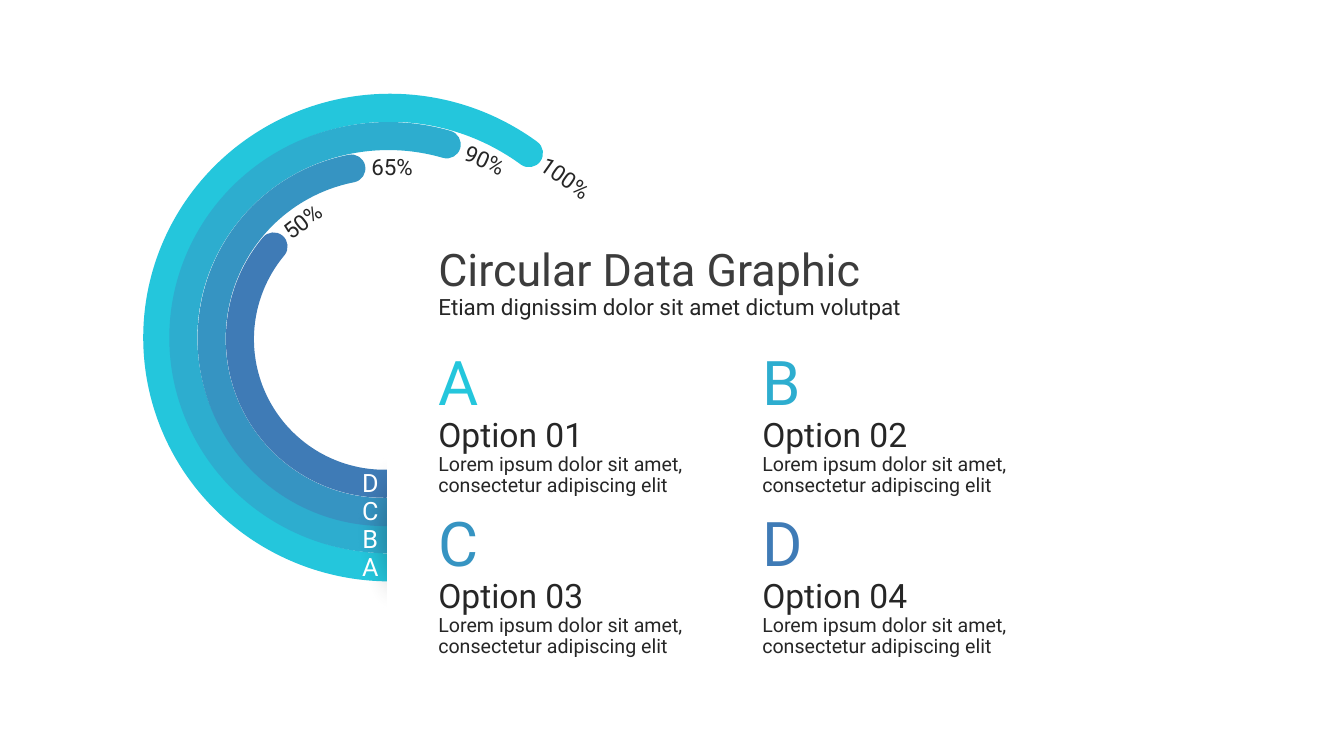
from lxml.etree import SubElement
from pptx import Presentation
from pptx.dml.color import RGBColor
from pptx.enum.shapes import MSO_SHAPE
from pptx.enum.text import MSO_AUTO_SIZE, PP_ALIGN
from pptx.oxml.ns import qn
from pptx.util import Pt

FONT = "Roboto"
COLORS = {
    "A": "24C6DC", "B": "2DADCF", "C": "3694C2", "D": "3F7BB6",
    "title": "3C3C3C", "text": "262626", "white": "FFFFFF", "shadow": "080808",
}
START_ANGLE = 60  # the white panel hides the arcs' lower ends

# letter, arc box, end angle, percentage, label position, label rotation
RINGS = [
    ("A", (112.3, 77, 332.6, 328.3), 307, "100%", (371.5, 113.8), 35),
    ("B", (131, 97.2, 293, 288), 286.8, "90%", (313.9, 100.8), 24.5),
    ("C", (151.2, 118.1, 247, 247.7), 259, "65%", (247.7, 105.8), 0),
    ("D", (171.4, 139, 206.6, 206.6), 219.9, "50%", (183.6, 144.7), 322.1),
]


def rgb(name):
    return RGBColor.from_string(COLORS[name])


def add_arc(slide, box, end_angle, color):
    s = slide.shapes.add_shape(MSO_SHAPE.ARC, *map(Pt, box))
    s.shadow.inherit = False
    s.fill.background()
    # One adjustment unit is 100000/60000 degrees
    s.adjustments[0] = START_ANGLE * 0.6
    s.adjustments[1] = end_angle * 0.6
    s.line.color.rgb = rgb(color)
    s.line.width = Pt(20)
    s.line._get_or_add_ln().set("cap", "rnd")


def add_plain_shape(slide, kind, box, color):
    s = slide.shapes.add_shape(kind, *map(Pt, box))
    s.shadow.inherit = False
    s.fill.solid()
    s.fill.fore_color.rgb = rgb(color)
    s.line.fill.background()
    return s


def add_soft_shadow(slide, box):
    s = add_plain_shape(slide, MSO_SHAPE.OVAL, box, "shadow")
    fill = s._element.spPr.find(qn("a:solidFill"))
    SubElement(fill[0], qn("a:alpha"), val="28000")
    effects = s._element.spPr.find(qn("a:effectLst"))
    SubElement(effects, qn("a:softEdge"), rad=str(Pt(22)))


def add_text(slide, box, lines, align=PP_ALIGN.LEFT, spacing=None,
             rotation=0, wrap=True):
    """Each line is a paragraph given as (text, size, color)."""
    s = slide.shapes.add_textbox(*map(Pt, box))
    s.rotation = rotation
    tf = s.text_frame
    tf.word_wrap = wrap
    tf.auto_size = MSO_AUTO_SIZE.SHAPE_TO_FIT_TEXT
    for i, (text, size, color) in enumerate(lines):
        p = tf.add_paragraph() if i else tf.paragraphs[0]
        p.alignment = align
        if spacing:
            p.line_spacing = spacing
        r = p.add_run()
        r.text = text
        r.font.name = FONT
        r.font.size = Pt(size)
        r.font.color.rgb = rgb(color)


def main():
    prs = Presentation()
    prs.slide_width, prs.slide_height = Pt(960), Pt(540)
    slide = prs.slides.add_slide(prs.slide_layouts[6])

    # Rings with their percentages
    for letter, box, end_angle, percent, (x, y), rotation in RINGS:
        add_arc(slide, box, end_angle, letter)
        add_text(slide, (x, y, 64.8, 26.6), [(percent, 16, "text")],
                 PP_ALIGN.CENTER, rotation=rotation)

    # Shadow and the white panel that cuts the rings
    add_soft_shadow(slide, (249, 300, 76, 162))
    add_plain_shape(slide, MSO_SHAPE.RECTANGLE, (276.5, 259.6, 241.9, 226.8), "white")

    # Letters on the rings
    for i, ring in enumerate(RINGS):
        add_text(slide, (251.5, 390.2 - 20 * i, 26, 28.8),
                 [(ring[0], 18, "white")], PP_ALIGN.CENTER, wrap=False)

    # Title
    add_text(slide, (306, 173.5, 394.6, 57.6), [
        ("Circular Data Graphic", 32, "title"),
        ("Etiam dignissim dolor sit amet dictum volutpat", 16, "text"),
    ], spacing=0.9)

    # Options in a two by two grid
    for i, ring in enumerate(RINGS):
        row, col = divmod(i, 2)
        add_text(slide, (306 + 231.4 * col, 248.4 + 115.2 * row, 209.5, 110.9), [
            (ring[0], 44, ring[0]),
            (f"Option {i + 1:02}", 24, "text"),
            ("Lorem ipsum dolor sit amet, consectetur adipiscing elit", 14, "text"),
        ], spacing=0.89)

    prs.save("out.pptx")


if __name__ == "__main__":
    main()
